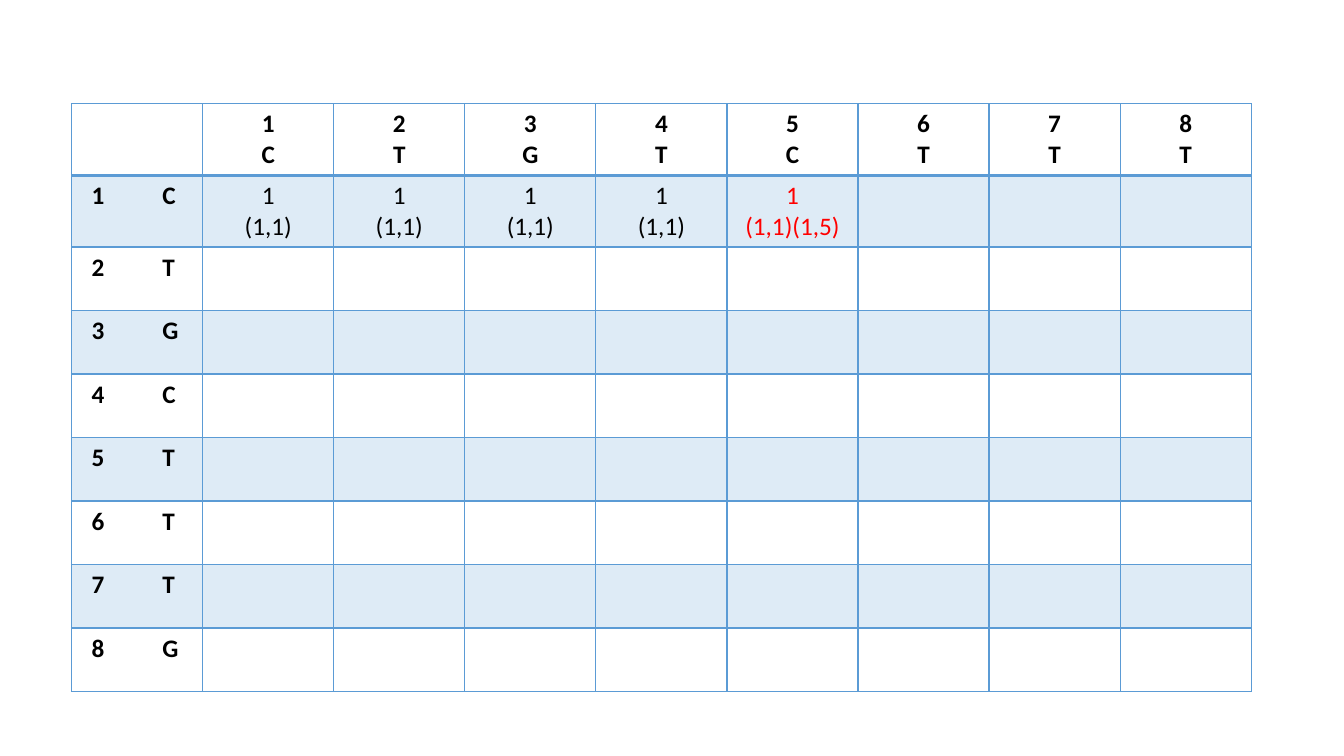
from dataclasses import dataclass

from lxml import etree
from pptx import Presentation
from pptx.dml.color import RGBColor
from pptx.enum.text import PP_ALIGN
from pptx.oxml.ns import qn
from pptx.util import Inches, Pt

CENTER = PP_ALIGN.CENTER
LEFT = PP_ALIGN.LEFT


@dataclass(frozen=True)
class Theme:
    font: str = "Calibri"
    size: int = 18
    text: str = "000000"
    highlight: str = "FF0000"
    blue: str = "5B9BD5"
    band_opacity: int = 20
    line: int = 1
    header_line: int = 2


THEME = Theme()

COLUMN_BASES = "CTGTCTTT"
ROW_BASES = "CTGCTTTG"
FIRST_ROW_ENTRIES = ["(1,1)"] * 4 + ["(1,1)(1,5)"]

COLUMN_WIDTH = 1.3
TALL_ROW, ROW = 0.71, 0.63
LABEL_INDENT, BASE_TAB = 0.2, 0.7


def add_line(paragraph, text, align=CENTER, color=THEME.text, bold=False):
    paragraph.alignment = align
    run = paragraph.add_run()
    run.text = text
    run.font.name = THEME.font
    run.font.size = Pt(THEME.size)
    run.font.bold = bold
    run.font.color.rgb = RGBColor.from_string(color)


def write_stack(cell, lines, **style):
    """Write centred lines, one paragraph each."""
    frame = cell.text_frame
    for index, text in enumerate(lines):
        paragraph = frame.add_paragraph() if index else frame.paragraphs[0]
        add_line(paragraph, text, **style)


def write_row_label(cell, number, base):
    """Write the row number and its base, set apart by a tab stop."""
    cell.margin_left = Inches(LABEL_INDENT)
    paragraph = cell.text_frame.paragraphs[0]
    stops = etree.SubElement(paragraph._p.get_or_add_pPr(), qn("a:tabLst"))
    etree.SubElement(stops, qn("a:tab"), pos=str(Inches(BASE_TAB)), algn="l")
    add_line(paragraph, f"{number}\t{base}", align=LEFT, bold=True)


def set_borders(cell, bottom):
    properties = cell._tc.get_or_add_tcPr()
    widths = {"L": THEME.line, "R": THEME.line, "T": THEME.line, "B": bottom}
    for side, width in widths.items():
        line = etree.SubElement(properties, qn(f"a:ln{side}"), w=str(Pt(width)))
        fill = etree.SubElement(line, qn("a:solidFill"))
        etree.SubElement(fill, qn("a:srgbClr"), val=THEME.blue)


def set_band(cell, banded):
    if not banded:
        cell.fill.background()
        return
    cell.fill.solid()
    cell.fill.fore_color.rgb = RGBColor.from_string(THEME.blue)
    color = cell._tc.tcPr.find(qn("a:solidFill")).find(qn("a:srgbClr"))
    etree.SubElement(color, qn("a:alpha"), val=str(THEME.band_opacity * 1000))


def add_alignment_table(slide):
    heights = [TALL_ROW] * 2 + [ROW] * (len(ROW_BASES) - 1)
    column_count = len(COLUMN_BASES) + 1
    table = slide.shapes.add_table(
        len(heights), column_count, Inches(0.71), Inches(1.03),
        Inches(COLUMN_WIDTH * column_count), Inches(sum(heights))).table
    table.horz_banding = False
    table.first_row = False
    for column in table.columns:
        column.width = Inches(COLUMN_WIDTH)

    # Grid: borders and alternating bands
    for index, height in enumerate(heights):
        table.rows[index].height = Inches(height)
        for cell in table.rows[index].cells:
            set_borders(cell, THEME.line if index else THEME.header_line)
            set_band(cell, index % 2 == 1)
    return table


def main():
    presentation = Presentation()
    presentation.slide_width = Inches(13.33)
    presentation.slide_height = Inches(7.5)
    slide = presentation.slides.add_slide(presentation.slide_layouts[6])
    table = add_alignment_table(slide)

    # Sequence labels along the top and the left
    for number, base in enumerate(COLUMN_BASES, 1):
        write_stack(table.cell(0, number), [str(number), base], bold=True)
    for number, base in enumerate(ROW_BASES, 1):
        write_row_label(table.cell(number, 0), number, base)

    # Scores of the first row, the newest one highlighted
    for number, positions in enumerate(FIRST_ROW_ENTRIES, 1):
        newest = number == len(FIRST_ROW_ENTRIES)
        write_stack(table.cell(1, number), ["1", positions],
                    color=THEME.highlight if newest else THEME.text)

    presentation.save("out.pptx")


if __name__ == "__main__":
    main()
